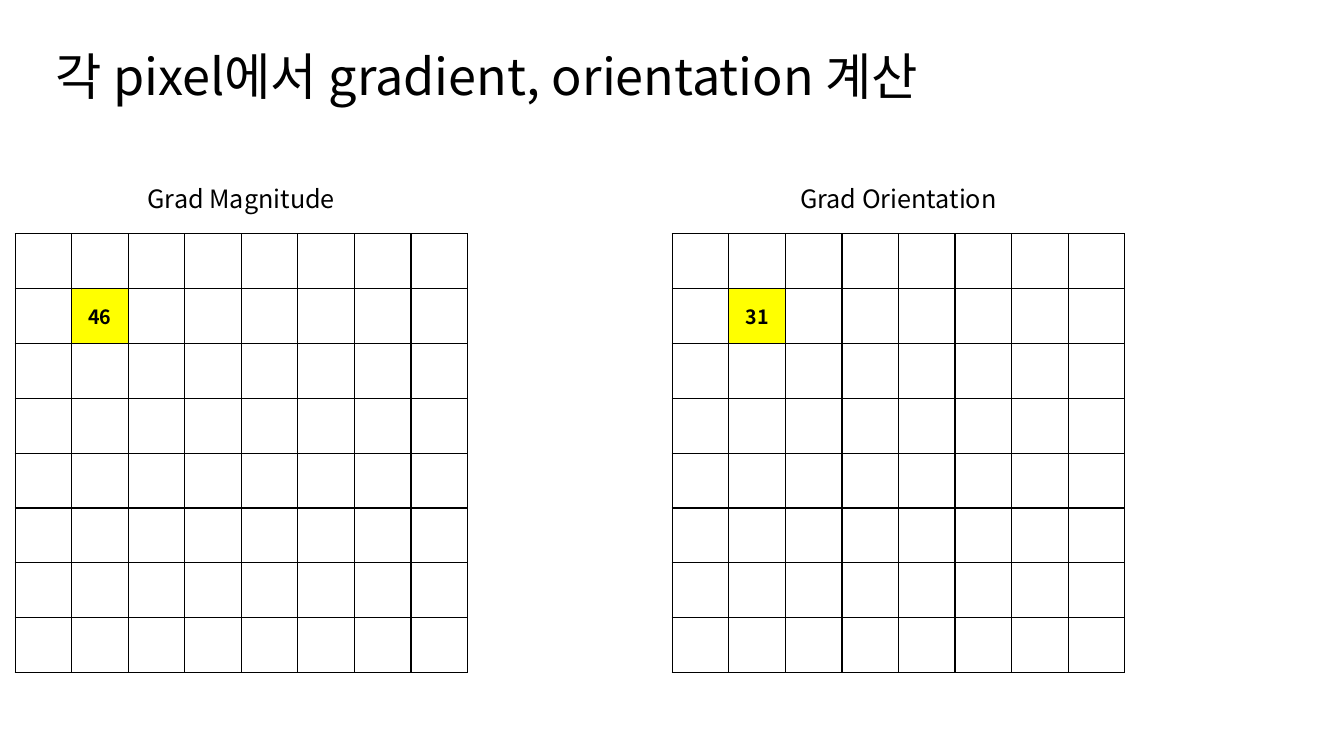
from lxml import etree
from pptx import Presentation
from pptx.dml import color
from pptx.enum import text as t
from pptx.oxml import ns
from pptx.util import Pt

HUES = {"ink": "000000", "paper": "FFFFFF", "mark": "FFFF00"}
FONT = "Noto Sans CJK KR"
COUNT = 8
MARK = (1, 1)


def hue(name):
    return color.RGBColor.from_string(HUES[name])


def write(frame, words, size, bold=False, align=t.PP_ALIGN.CENTER, space=1.0):
    para = frame.paragraphs[0]
    para.alignment = align
    para.line_spacing = space
    run = para.add_run()
    run.text = words
    font = run.font
    font.size, font.bold, font.name = Pt(size), bold, FONT
    font.color.rgb = hue("ink")
    etree.SubElement(run._r.get_or_add_rPr(), ns.qn("a:ea"), typeface=FONT)


def border(cell):
    props = cell._tc.get_or_add_tcPr()
    for side in ("lnL", "lnR", "lnT", "lnB"):
        line = etree.SubElement(props, ns.qn(f"a:{side}"), w=str(Pt(1)))
        fill = etree.SubElement(line, ns.qn("a:solidFill"))
        etree.SubElement(fill, ns.qn("a:srgbClr"), val=HUES["ink"])


def title(slide, words, left, top, width, height):
    head = slide.shapes.title
    head.left, head.top = Pt(left), Pt(top)
    head.width, head.height = Pt(width), Pt(height)
    frame = head.text_frame
    frame.auto_size = t.MSO_AUTO_SIZE.NONE
    frame.vertical_anchor = t.MSO_ANCHOR.MIDDLE
    write(frame, words, 36, align=t.PP_ALIGN.LEFT, space=0.9)


def label(slide, words, mid, top, width=176.4, height=29):
    box = slide.shapes.add_textbox(Pt(mid - width / 2), Pt(top), Pt(width), Pt(height))
    box.text_frame.word_wrap = True
    box.text_frame.auto_size = t.MSO_AUTO_SIZE.SHAPE_TO_FIT_TEXT
    write(box.text_frame, words, 18)


def panel(slide, words, value, left, top, width, height):
    """Draw a labelled pixel grid with one marked cell."""
    label(slide, words, left + width / 2, top - 39.6)
    grid = slide.shapes.add_table(
        COUNT, COUNT, Pt(left), Pt(top), Pt(width), Pt(height)).table
    grid.first_row = grid.horz_banding = False
    for col in grid.columns:
        col.width = Pt(width / COUNT)
    for row in grid.rows:
        row.height = Pt(height / COUNT)
    for cell in grid.iter_cells():
        border(cell)
        cell.fill.background()
    pixel = grid.cell(*MARK)
    pixel.fill.solid()
    pixel.fill.fore_color.rgb = hue("mark")
    pixel.vertical_anchor = t.MSO_ANCHOR.MIDDLE
    write(pixel.text_frame, value, 14, bold=True)


def main():
    deck = Presentation()
    deck.slide_width, deck.slide_height = Pt(960), Pt(540)
    slide = deck.slides.add_slide(deck.slide_layouts[5])
    slide.background.fill.solid()
    slide.background.fill.fore_color.rgb = hue("paper")
    title(slide, "각 pixel에서 gradient, orientation 계산", 32.4, 25.2, 828, 63.4)
    panels = (("Grad Magnitude", "46", 10.8), ("Grad Orientation", "31", 480.2))
    for words, value, left in panels:
        panel(slide, words, value, left, 167, 323.2, 313.6)
    deck.save("out.pptx")


if __name__ == "__main__":
    main()
